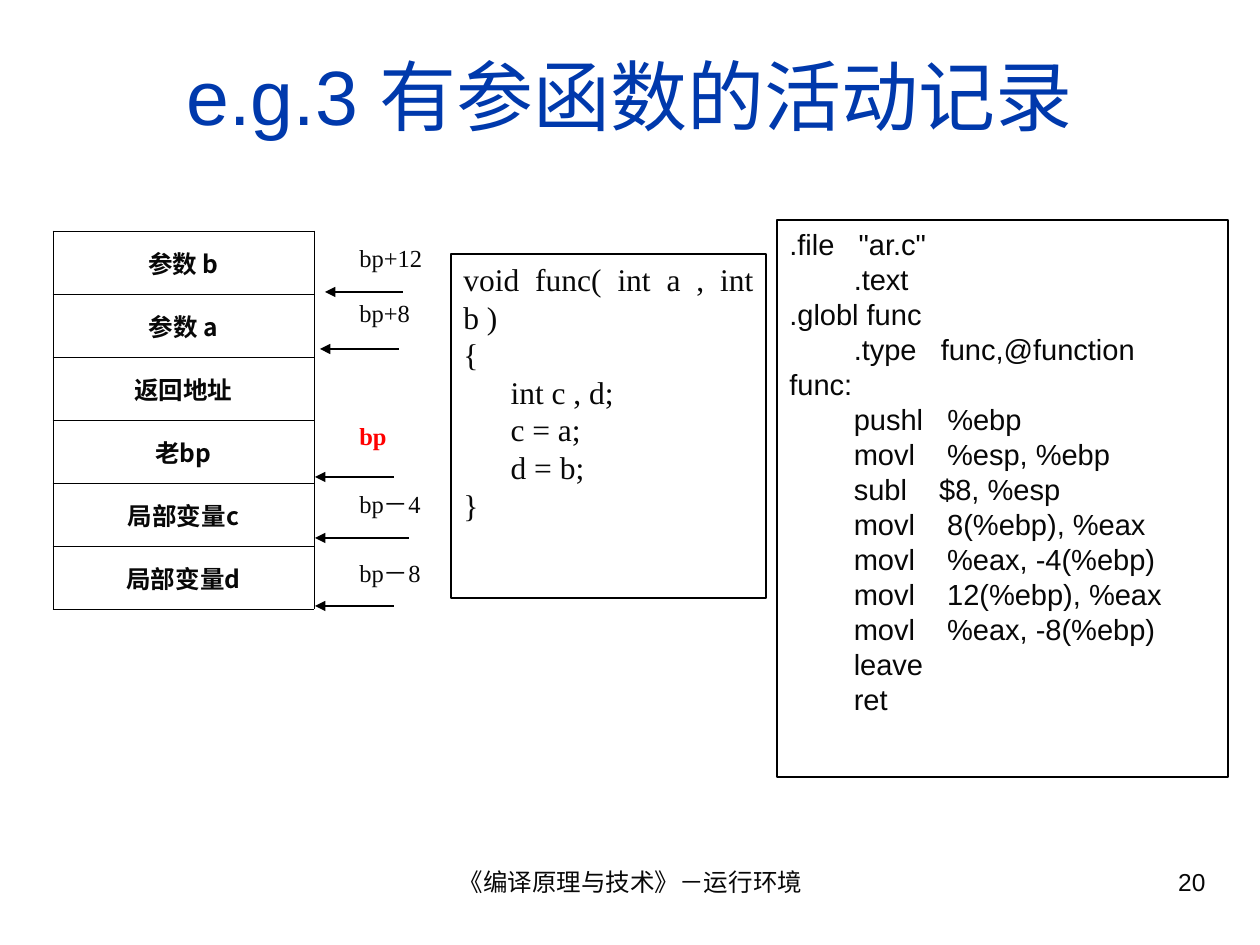
from lxml import etree
from pptx import Presentation
from pptx.dml.color import RGBColor
from pptx.enum.shapes import MSO_CONNECTOR, MSO_SHAPE
from pptx.enum.text import MSO_ANCHOR, PP_ALIGN
from pptx.oxml.ns import qn
from pptx.util import Emu, Pt

STRAIGHT = MSO_CONNECTOR.STRAIGHT
RECTANGLE = MSO_SHAPE.RECTANGLE
TOP, MIDDLE = MSO_ANCHOR.TOP, MSO_ANCHOR.MIDDLE
CENTER, RIGHT, JUSTIFY = PP_ALIGN.CENTER, PP_ALIGN.RIGHT, PP_ALIGN.JUSTIFY

BLACK = RGBColor(0x00, 0x00, 0x00)
INK = RGBColor(0x08, 0x08, 0x08)
BLUE = RGBColor(0x00, 0x39, 0xAC)
RED = RGBColor(0xFF, 0x00, 0x00)

SANS, SERIF, CJK = "Arial", "Times New Roman", "Noto Sans CJK SC"
PX_PER_INCH = 126


def px(length):
    return Emu(round(length * 914400 / PX_PER_INCH))


class SlideBuilder:
    def __init__(self, slide):
        self.slide = slide

    def fill_text(self, frame, lines, size, font=SANS, color=INK, bold=False,
                  align=JUSTIFY, anchor=TOP, spacing=None):
        frame.word_wrap = True
        frame.vertical_anchor = anchor
        for index, line in enumerate(lines):
            paragraph = frame.add_paragraph() if index else frame.paragraphs[0]
            paragraph.alignment = align
            if spacing:
                paragraph.line_spacing = Pt(spacing)
            run = paragraph.add_run()
            run.text = line
            run.font.size = Pt(size)
            run.font.bold = bold
            run.font.color.rgb = color
            run.font.name = font
            east_asian = etree.SubElement(run._r.get_or_add_rPr(), qn("a:ea"))
            east_asian.set("typeface", CJK)

    def text(self, left, top, width, height, text, size, **style):
        box = self.slide.shapes.add_textbox(px(left), px(top), px(width), px(height))
        self.fill_text(box.text_frame, [text], size, **style)

    def code_box(self, left, top, width, height, code, size, font, spacing):
        shape = self.slide.shapes.add_shape(
            RECTANGLE, px(left), px(top), px(width), px(height))
        shape.shadow.inherit = False
        shape.fill.background()
        shape.line.color.rgb = BLACK
        shape.line.width = Pt(0.75)
        self.fill_text(shape.text_frame, code.strip().split("\n"), size,
                       font=font, spacing=spacing)

    def arrow(self, start, end, y):
        connector = self.slide.shapes.add_connector(
            STRAIGHT, px(start), px(y), px(end), px(y))
        connector.line.color.rgb = BLACK
        connector.line.width = Pt(0.75)
        properties = connector._element.spPr
        etree.SubElement(properties.find(qn("a:ln")), qn("a:tailEnd"), type="triangle")
        etree.SubElement(properties, qn("a:effectLst"))

    def border(self, cell):
        properties = cell._tc.get_or_add_tcPr()
        for index, side in enumerate(("lnL", "lnR", "lnT", "lnB")):
            line = etree.Element(qn(f"a:{side}"), w=str(Pt(0.45)))
            fill = etree.SubElement(line, qn("a:solidFill"))
            etree.SubElement(fill, qn("a:srgbClr"), val=str(BLACK))
            properties.insert(index, line)

    def stack_table(self, left, top, width, row_height, entries):
        table = self.slide.shapes.add_table(
            len(entries), 1, px(left), px(top), px(width),
            px(row_height * len(entries))).table
        table.first_row = False
        table.horz_banding = False
        for index, entry in enumerate(entries):
            table.rows[index].height = px(row_height)
            cell = table.cell(index, 0)
            cell.fill.background()
            self.border(cell)
            self.fill_text(cell.text_frame, [entry], 14, font=CJK, bold=True, align=CENTER)
            cell.vertical_anchor = MIDDLE


STACK = ["参数 b", "参数 a", "返回地址", "老bp", "局部变量c", "局部变量d"]

# Label, label top, arrow start, arrow end, arrow y, colour, bold
OFFSETS = [
    ("bp+12", 237, 403, 325, 292, INK, False),
    ("bp+8", 292, 399, 320, 349, INK, False),
    ("bp", 415, 394, 315, 477, RED, True),
    ("bp－4", 483, 409, 315, 538, INK, False),
    ("bp－8", 552, 394, 315, 606, INK, False),
]

C_CODE = """
void func( int a , int b )
{
      int c , d;
      c = a;
      d = b;
}
"""

ASSEMBLY = """
.file   "ar.c"
        .text
.globl func
        .type   func,@function
func:
        pushl   %ebp
        movl    %esp, %ebp
        subl    $8, %esp
        movl    8(%ebp), %eax
        movl    %eax, -4(%ebp)
        movl    12(%ebp), %eax
        movl    %eax, -8(%ebp)
        leave
        ret
"""


def main():
    presentation = Presentation()
    presentation.slide_width = px(1260)
    presentation.slide_height = px(945)
    builder = SlideBuilder(presentation.slides.add_slide(presentation.slide_layouts[6]))

    # Title and footer
    builder.text(42, 32, 1176, 126, "e.g.3 有参函数的活动记录", 44,
                 color=BLUE, align=CENTER, anchor=MIDDLE)
    builder.text(431, 861, 399, 66, "《编译原理与技术》－运行环境", 14, align=CENTER)
    builder.text(903, 861, 315, 66, "20", 14, align=RIGHT)

    # Activation record with its base pointer offsets
    builder.stack_table(53, 231, 261, 63, STACK)
    for label, top, start, end, y, color, bold in OFFSETS:
        builder.text(347, top, 126, 68, label, 14, font=SERIF, color=color, bold=bold)
        builder.arrow(start, end, y)

    # Source code and its assembly
    builder.code_box(451, 254, 315, 344, C_CODE, 18, SERIF, 21.5)
    builder.code_box(777, 220, 451, 557, ASSEMBLY, 16.6, SANS, 20)

    presentation.save("out.pptx")


if __name__ == "__main__":
    main()
